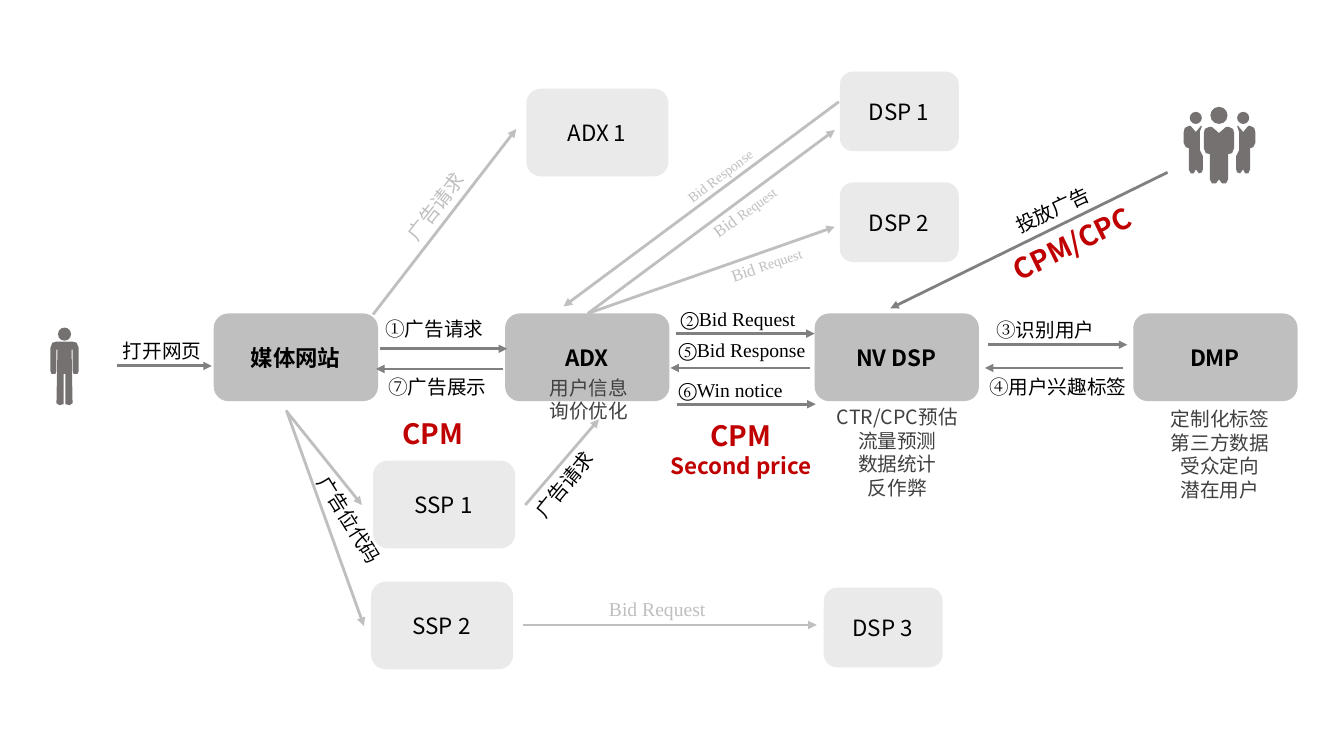
import pptx
import pptx.dml.color
import pptx.enum.shapes
import pptx.enum.text
import pptx.oxml.ns
import pptx.util
from lxml import etree

Inches = pptx.util.Inches
SANS, SERIF = "Noto Sans CJK SC", "Times New Roman"
BLACK, RED, NOTE = "000000", "C00000", "404040"
PALE, SILVER, GREY, FIGURE = "EAEAEA", "BFBFBF", "808080", "767171"
MAIN_SIZE, EXCHANGE_SIZE, BIDDER_SIZE = (1.63, 0.87), (1.41, 0.87), (1.18, 0.79)

STANDING = [(0.08, 0.14), (0.12, 0.15), (0.14, 0.2), (0.14, 0.43), (0.13, 0.46), (0.09, 0.46),
            (0.08, 0.43), (0.08, 0.22), (0.07, 0.22), (0.08, 0.75), (0.05, 0.77), (0.01, 0.76),
            (0.01, 0.46)]
LEADER = [(0, 0.26), (0.07, 0.2), (0.1, 0.2), (0.14, 0.22), (0.15, 0.26), (0.15, 0.41),
          (0.13, 0.46), (0.09, 0.47), (0.09, 0.72), (0.07, 0.76), (0.03, 0.76), (0, 0.72)]
COMPANION = [(0, 0.2), (0.05, 0.14), (0.07, 0.14), (0.11, 0.16), (0.12, 0.2), (0.12, 0.31),
             (0.1, 0.35), (0.07, 0.36), (0.07, 0.57), (0.05, 0.61), (0.02, 0.61), (0, 0.57),
             (-0.03, 0.61), (-0.06, 0.6), (-0.07, 0.57), (-0.07, 0.44), (-0.04, 0.38),
             (-0.04, 0.2), (-0.06, 0.14), (-0.05, 0.14)]


def color(value):
    return pptx.dml.color.RGBColor.from_string(value)


def paint(shape, fill):
    shape.shadow.inherit = False
    shape.fill.solid()
    shape.fill.fore_color.rgb = color(fill)
    shape.line.fill.background()


def add_label(slide, left, top, width, height, lines, ink=BLACK, size=14, font=SANS,
              bold=False, centered=False, middle=False, rotation=0):
    box = slide.shapes.add_textbox(Inches(left), Inches(top), Inches(width), Inches(height))
    box.rotation = rotation
    frame = box.text_frame
    frame.word_wrap = True
    frame.margin_left = frame.margin_right = frame.margin_top = frame.margin_bottom = Inches(0.05)
    if middle:
        frame.vertical_anchor = pptx.enum.text.MSO_ANCHOR.MIDDLE
    for index, pieces in enumerate(lines):
        paragraph = frame.add_paragraph() if index else frame.paragraphs[0]
        if centered:
            paragraph.alignment = pptx.enum.text.PP_ALIGN.CENTER
        for piece in [pieces] if isinstance(pieces, str) else pieces:
            words, run_size, run_font = (piece, size, font) if isinstance(piece, str) else piece
            run = paragraph.add_run()
            run.text = words
            run.font.size = pptx.util.Pt(run_size)
            run.font.name = run_font
            run.font.bold = bold
            run.font.color.rgb = color(ink)
            east_asian = etree.SubElement(run.font._element, pptx.oxml.ns.qn("a:ea"))
            east_asian.set("typeface", run_font)


def add_node(slide, left, top, size, name, fill=PALE):
    width, height = size
    node = slide.shapes.add_shape(pptx.enum.shapes.MSO_SHAPE.ROUNDED_RECTANGLE,
                                  Inches(left), Inches(top), Inches(width), Inches(height))
    paint(node, fill)
    add_label(slide, left + width / 2 - 0.85, top + height / 2 - 0.18, 1.69, 0.36, [name],
              size=16, bold=fill == SILVER, centered=True, middle=True)


def add_arrow(slide, start_x, start_y, end_x, end_y, ink=SILVER):
    arrow = slide.shapes.add_connector(pptx.enum.shapes.MSO_CONNECTOR.STRAIGHT, Inches(start_x),
                                       Inches(start_y), Inches(end_x), Inches(end_y))
    arrow.line.color.rgb = color(ink)
    arrow.line.width = pptx.util.Pt(2)
    line = arrow.line._get_or_add_ln()
    etree.SubElement(line, pptx.oxml.ns.qn("a:tailEnd")).set("type", "triangle")
    etree.SubElement(arrow._element.spPr, pptx.oxml.ns.qn("a:effectLst"))


def add_person(slide, center, top, head_size, outline):
    head = slide.shapes.add_shape(pptx.enum.shapes.MSO_SHAPE.OVAL, Inches(center - head_size / 2),
                                  Inches(top), Inches(head_size), Inches(head_size))
    points = [(Inches(center + x), Inches(top + y)) for x, y in outline]
    builder = slide.shapes.build_freeform(*points[0], scale=1.0)
    builder.add_line_segments(points[1:], close=True)
    for part in (head, builder.convert_to_shape()):
        paint(part, FIGURE)


def mirrored(outline):
    return [(-x, y) for x, y in reversed(outline)]


def numbered(number, words):
    return [(number, 14, SERIF), (words, 14, SANS)]


def draw_visitor(slide, left, top):
    add_person(slide, left + 0.14, top, 0.13, STANDING + mirrored(STANDING))
    add_arrow(slide, left + 0.66, top + 0.38, left + 1.6, top + 0.38, GREY)
    add_label(slide, left + 0.67, top + 0.06, 1.5, 0.38, ["打开网页"])


def draw_advertisers(slide, left, top):
    center = left + 0.34
    add_person(slide, center, top, 0.17, LEADER + mirrored(LEADER))
    add_person(slide, center + 0.24, top + 0.05, 0.12, COMPANION)
    add_person(slide, center - 0.23, top + 0.05, 0.12, mirrored(COMPANION))
    add_arrow(slide, left - 0.17, top + 0.65, left - 2.92, top + 2, GREY)
    add_label(slide, left - 1.77, top + 0.72, 1.5, 0.38, ["投放广告"], rotation=335)
    add_label(slide, left - 1.83, top + 1.01, 1.94, 0.42, ["CPM/CPC"], RED, 20,
              bold=True, rotation=334)


def draw_bidders(slide, left, top):
    add_arrow(slide, left + 2.13, top + 2.4, left + 4.58, top + 0.58)
    add_arrow(slide, left + 4.62, top + 0.3, left + 1.89, top + 2.33)
    add_arrow(slide, left + 2.13, top + 2.4, left + 4.58, top + 1.54)
    add_arrow(slide, left, top + 2.41, left + 1.42, top + 0.57)
    add_node(slide, left + 1.52, top + 0.17, EXCHANGE_SIZE, "ADX 1")
    for index in range(2):
        add_node(slide, left + 4.63, top + 1.1 * index, BIDDER_SIZE, f"DSP {index + 1}")
    request = [[("Bid ", 12, SERIF), ("Request", 10, SERIF)]]
    for x, y, rotation in [(3.21, 1.06, 324), (3.47, 1.66, 341)]:
        add_label(slide, left + x, top + y, 1.44, 0.3, request, SILVER, rotation=rotation)
    add_label(slide, left + 2.96, top + 0.77, 1.3, 0.25, ["Bid Response"], SILVER, 10,
              SERIF, rotation=323)
    add_label(slide, left + 0.08, top + 0.92, 1.5, 0.38, ["广告请求"], SILVER, rotation=308)


def draw_supply_side(slide, left, top):
    for x, y, name in [(0.86, 0.5, "SSP 1"), (0.84, 1.7, "SSP 2")]:
        add_node(slide, left + x, top + y, EXCHANGE_SIZE, name)
    add_node(slide, left + 5.33, top + 1.76, BIDDER_SIZE, "DSP 3")
    add_arrow(slide, left + 0.01, top + 0.02, left + 0.75, top + 0.94)
    add_arrow(slide, left, top, left + 0.77, top + 2.14)
    add_arrow(slide, left + 2.37, top + 0.94, left + 3.1, top + 0.09)
    add_arrow(slide, left + 2.35, top + 2.13, left + 5.26, top + 2.13)
    add_label(slide, left - 0.03, top + 1.09, 1.5, 0.38, ["广告位代码"], rotation=58)
    add_label(slide, left + 2.22, top + 0.32, 1.5, 0.38, ["广告请求"], rotation=309.3)
    add_label(slide, left + 3.15, top + 1.8, 1.5, 0.31, ["Bid Request"], SILVER, font=SERIF)


def draw_main_chain(slide, left, top):
    for x, name in [(0, "媒体网站"), (2.89, "ADX"), (5.96, "NV DSP"), (9.12, "DMP")]:
        add_node(slide, left + x, top, MAIN_SIZE, name, SILVER)
    for start, end, y in [(1.65, 2.91, 0.35), (2.87, 1.61, 0.55), (4.58, 5.96, 0.2),
                          (5.91, 4.53, 0.54), (4.59, 5.97, 0.9), (7.68, 9.06, 0.31),
                          (9.02, 7.65, 0.54)]:
        add_arrow(slide, left + start, top + y, left + end, top + y, GREY)
    for x, y, words in [(1.65, -0.02, numbered("①", "广告请求")),
                        (1.68, 0.56, numbered("⑦", "广告展示")),
                        (4.58, -0.11, "②Bid Request"),
                        (4.56, 0.19, "⑤Bid Response"),
                        (4.56, 0.59, "⑥Win notice"),
                        (7.71, -0.01, numbered("③", "识别用户")),
                        (7.64, 0.56, numbered("④", "用户兴趣标签"))]:
        add_label(slide, left + x, top + y, 1.5, 0.38, [words], font=SERIF)
    for x, y, height, lines in [
            (2.97, 0.57, 0.66, ["用户信息", "询价优化"]),
            (6.03, 0.86, 1.21, ["CTR/CPC预估", "流量预测", "数据统计", "反作弊"]),
            (9.23, 0.88, 1.45, ["定制化标签", "第三方数据", "受众定向", "潜在用户"])]:
        add_label(slide, left + x, top + y, 1.5, height, lines, NOTE, centered=True)
    add_label(slide, left + 1.82, top + 0.97, 1.94, 0.42, ["CPM"], RED, 20, bold=True)
    add_label(slide, left + 4.26, top + 0.99, 1.94, 0.68,
              ["CPM", [("Second price", 16, SANS)]], RED, 20, bold=True, centered=True)


def main():
    presentation = pptx.Presentation()
    presentation.slide_width, presentation.slide_height = Inches(13.33), Inches(7.5)
    slide = presentation.slides.add_slide(presentation.slide_layouts[6])
    draw_bidders(slide, 3.7, 0.71)
    draw_supply_side(slide, 2.84, 4.07)
    draw_main_chain(slide, 2.12, 3.11)
    draw_visitor(slide, 0.5, 3.25)
    draw_advertisers(slide, 11.75, 1.06)
    presentation.save("out.pptx")


if __name__ == "__main__":
    main()
